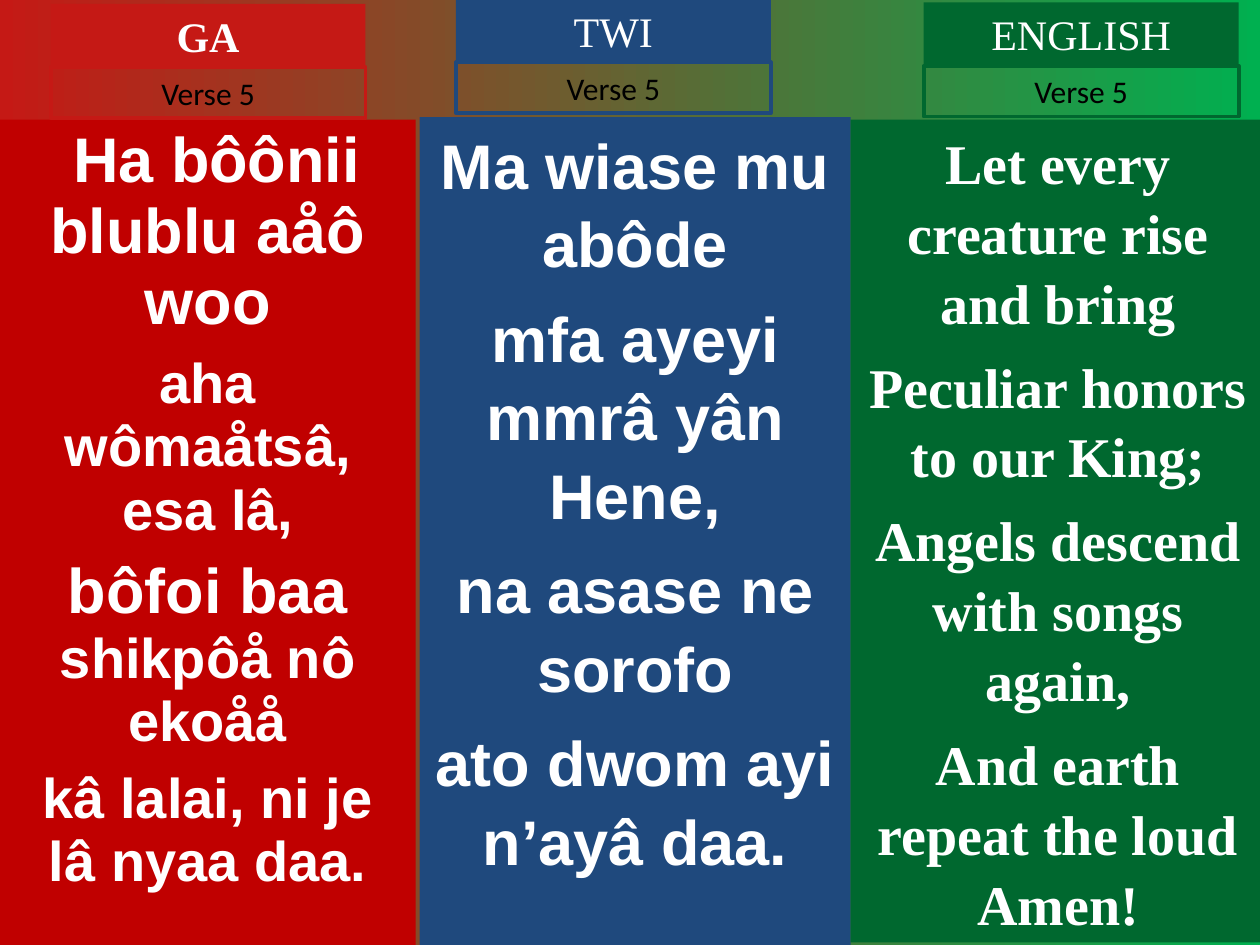
import pptx
import pptx.util
import pptx.dml.color
import pptx.enum.shapes
import pptx.enum.text
import pptx.oxml.ns
from lxml import etree

Cm = pptx.util.Cm
Pt = pptx.util.Pt
RGBColor = pptx.dml.color.RGBColor

RED = RGBColor(0xC0, 0x00, 0x00)
BRIGHT_RED = RGBColor(0xC5, 0x19, 0x15)
BLUE = RGBColor(0x1F, 0x49, 0x7D)
GREEN = RGBColor(0x00, 0x68, 0x2F)
BRIGHT_GREEN = RGBColor(0x00, 0xB0, 0x50)
WHITE = RGBColor(0xFF, 0xFF, 0xFF)
BLACK = RGBColor(0x00, 0x00, 0x00)

GA_VERSE = [
    [(" Ha bôônii blublu aåô woo", 36)],
    [("aha wômaåtsâ, esa lâ,", 32)],
    [("bôfoi baa ", 36), ("shikpôå nô ekoåå", 32)],
    [("kâ lalai, ni je lâ nyaa daa.", 32)],
]
TWI_VERSE = [
    [(line, 36)]
    for line in ("Ma wiase mu abôde", "mfa ayeyi mmrâ yân Hene,",
                 "na asase ne sorofo", "ato dwom ayi n’ayâ daa.")
]
ENGLISH_VERSE = [
    [(line, 32)]
    for line in ("Let every creature rise and bring", "Peculiar honors to our King;",
                 "Angels descend with songs again,", "And earth repeat the loud Amen!")
]


class HymnSlide:
    serif = "Times New Roman"
    sans = "Arial"
    label_font = "Calibri"

    def __init__(self, deck):
        self.page = deck.slides.add_slide(deck.slide_layouts[3])
        title, self.ga_body, self.twi_body = self.page.placeholders
        title.element.getparent().remove(title.element)

    def background(self, start, end):
        fill = self.page.background.fill
        fill.gradient()
        fill.gradient_angle = 0
        for stop, color, position in zip(fill.gradient_stops, (start, end), (0, 1)):
            stop.color.rgb = color
            stop.position = position

    def rectangle(self, left, top, width, height):
        box = self.page.shapes.add_shape(
            pptx.enum.shapes.MSO_SHAPE.RECTANGLE, Cm(left), Cm(top), Cm(width), Cm(height))
        box.shadow.inherit = False
        return box

    def set_lines(self, box, lines, font, color, bold=False, spacing=None, before=0):
        frame = box.text_frame
        frame.word_wrap = True
        frame.auto_size = pptx.enum.text.MSO_AUTO_SIZE.NONE
        frame.text = "\n".join("".join(text for text, size in parts) for parts in lines)
        for number, (para, parts) in enumerate(zip(frame.paragraphs, lines)):
            properties = para._p.get_or_add_pPr()
            properties.set("marL", "0")
            properties.set("indent", "0")
            etree.SubElement(properties, pptx.oxml.ns.qn("a:buNone"))
            para.alignment = pptx.enum.text.PP_ALIGN.CENTER
            para.line_spacing = spacing
            para.space_before = Pt(before if number else 0)
            while len(para.runs) < len(parts):
                para.add_run()
            for span, (text, size) in zip(para.runs, parts):
                span.text = text
                span.font.name = font
                span.font.size = Pt(size)
                span.font.bold = bold
                span.font.color.rgb = color

    def verse(self, box, left, top, width, height, color, lines, font, spacing, before):
        box.left, box.top, box.width, box.height = Cm(left), Cm(top), Cm(width), Cm(height)
        box.fill.solid()
        box.fill.fore_color.rgb = color
        box.line.fill.background()
        self.set_lines(box, lines, font, WHITE, True, spacing, before)
        box.text_frame.vertical_anchor = pptx.enum.text.MSO_ANCHOR.TOP

    def heading(self, left, top, text, color, bold=False):
        box = self.rectangle(left, top, 6.35, 1.28)
        box.fill.solid()
        box.fill.fore_color.rgb = color
        box.line.fill.background()
        self.set_lines(box, [[(text, 24)]], self.serif, WHITE, bold)

    def verse_label(self, left, top, text, color):
        box = self.rectangle(left, top, 6.35, 1.02)
        box.fill.background()
        box.line.color.rgb = color
        box.line.width = Pt(2.25)
        self.set_lines(box, [[(text, 18)]], self.label_font, BLACK)


def main():
    deck = pptx.Presentation()
    deck.slide_width, deck.slide_height = Cm(25.4), Cm(19.05)
    hymn = HymnSlide(deck)
    hymn.background(BRIGHT_RED, BRIGHT_GREEN)
    hymn.verse(hymn.ga_body, 0, 2.41, 8.38, 16.64, RED, GA_VERSE, hymn.sans, 0.94, 8)
    hymn.verse(hymn.twi_body, 8.46, 2.36, 8.69, 16.69, BLUE, TWI_VERSE, hymn.sans, 1.04, 9)
    english_body = hymn.rectangle(17.15, 2.41, 8.36, 16.59)
    hymn.verse(english_body, 17.15, 2.41, 8.36, 16.59, GREEN, ENGLISH_VERSE, hymn.serif, 1.04, 8)
    for left, top, language, color, bold in (
        (1.02, 0.08, "GA", BRIGHT_RED, True),
        (9.19, -0.02, "TWI", BLUE, False),
        (18.62, 0.05, "ENGLISH", GREEN, False),
    ):
        hymn.heading(left, top, language, color, bold)
        hymn.verse_label(left, top + 1.28, "Verse 5", color)
    deck.save("out.pptx")


if __name__ == "__main__":
    main()
